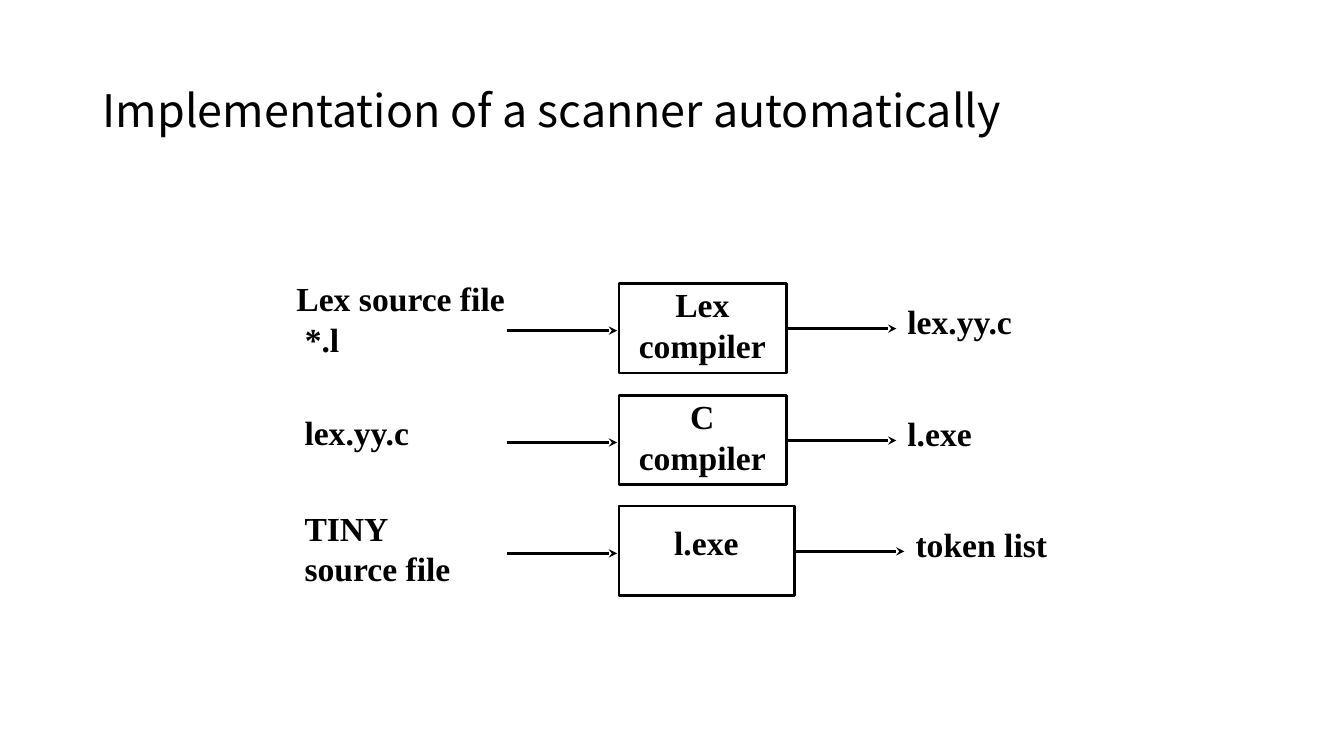
from lxml.etree import SubElement
from pptx import Presentation
from pptx.dml.color import RGBColor
from pptx.enum.shapes import MSO_CONNECTOR, MSO_SHAPE
from pptx.enum.text import MSO_ANCHOR, PP_ALIGN
from pptx.oxml.ns import qn
from pptx.util import Inches, Pt

BLACK = RGBColor(0x00, 0x00, 0x00)

BOX_LEFT = 6.14
BOX_HEIGHT = 0.89
ARROW_LENGTH = 1.09

# box top, box text, box width, box top inset,
# input text, its (left, top, width, height), output text, its (top, width)
STAGES = [
    (2.81, ["Lex", "compiler"], 1.66, 0.01,
     ["Lex source file", " *.l"], (2.85, 2.73, 2.32, 0.83), "lex.yy.c", (2.96, 1.45)),
    (3.92, ["C", "compiler"], 1.66, 0.01,
     ["lex.yy.c"], (2.93, 4.06, 1.42, 0.49), "l.exe", (4.07, 1.38)),
    (5.02, ["l.exe"], 1.74, 0.16,
     ["TINY", "source file"], (2.93, 5.01, 1.85, 0.89), "token list", (5.17, 1.69)),
]


class DiagramSlide:
    title_font = "Noto Sans CJK SC"
    label_font = "Times New Roman"
    title_size = Pt(32)
    label_size = Pt(24)
    line_width = Pt(2)

    def __init__(self, presentation):
        self.slide = presentation.slides.add_slide(presentation.slide_layouts[5])
        self.shapes = self.slide.shapes

    def start_group(self):
        """Make the elements that follow part of a new group."""
        self.shapes = self.slide.shapes.add_group_shape().shapes

    def title(self, text, left, top, width, height):
        shape = self.slide.shapes.title
        shape.left, shape.top = Inches(left), Inches(top)
        shape.width, shape.height = Inches(width), Inches(height)
        shape.text_frame.text = text
        shape.text_frame.vertical_anchor = MSO_ANCHOR.MIDDLE
        paragraph = shape.text_frame.paragraphs[0]
        paragraph.alignment = PP_ALIGN.LEFT
        paragraph.line_spacing = 0.9
        paragraph.font.name = self.title_font
        paragraph.font.size = self.title_size
        paragraph.font.color.rgb = BLACK

    def set_text(self, shape, lines, alignment, top_inset, bottom_inset):
        frame = shape.text_frame
        frame.word_wrap = True
        frame.vertical_anchor = MSO_ANCHOR.TOP
        frame.margin_left, frame.margin_right = Inches(0.09), Inches(0.1)
        frame.margin_top, frame.margin_bottom = Inches(top_inset), Inches(bottom_inset)
        frame.text = "\n".join(lines)
        for paragraph in frame.paragraphs:
            paragraph.alignment = alignment
            paragraph.font.name = self.label_font
            paragraph.font.size = self.label_size
            paragraph.font.bold = True
            paragraph.font.color.rgb = BLACK

    def box(self, lines, left, top, width, height, top_inset):
        shape = self.shapes.add_shape(
            MSO_SHAPE.RECTANGLE, Inches(left), Inches(top), Inches(width), Inches(height))
        shape.shadow.inherit = False
        shape.fill.background()
        shape.line.color.rgb = BLACK
        shape.line.width = self.line_width
        self.set_text(shape, lines, PP_ALIGN.CENTER, top_inset, 0.01)

    def label(self, lines, left, top, width, height):
        shape = self.shapes.add_textbox(
            Inches(left), Inches(top), Inches(width), Inches(height))
        self.set_text(shape, lines, PP_ALIGN.JUSTIFY, 0.03, 0.05)

    def arrow(self, left, top):
        connector = self.shapes.add_connector(
            MSO_CONNECTOR.STRAIGHT, Inches(left), Inches(top),
            Inches(left + ARROW_LENGTH), Inches(top))
        connector.line.color.rgb = BLACK
        connector.line.width = self.line_width
        properties = connector._element.spPr
        SubElement(properties.find(qn("a:ln")), qn("a:tailEnd"), type="stealth")
        SubElement(properties, qn("a:effectLst"))


def main():
    presentation = Presentation()
    presentation.slide_width = Inches(13.33)
    presentation.slide_height = Inches(7.5)
    diagram = DiagramSlide(presentation)
    diagram.title("Implementation of a scanner automatically", 0.92, 0.4, 11.5, 1.45)

    for (top, box_lines, box_width, inset,
         input_lines, input_area, output, (output_top, output_width)) in STAGES:
        box_right = BOX_LEFT + box_width
        diagram.start_group()
        diagram.box(box_lines, BOX_LEFT, top, box_width, BOX_HEIGHT, inset)
        diagram.arrow(BOX_LEFT - 1.11, top + 0.47)
        diagram.arrow(box_right, top + 0.45)
        diagram.label(input_lines, *input_area)
        diagram.label([output], box_right + 1.11, output_top, output_width, 0.49)

    presentation.save("out.pptx")


if __name__ == "__main__":
    main()
